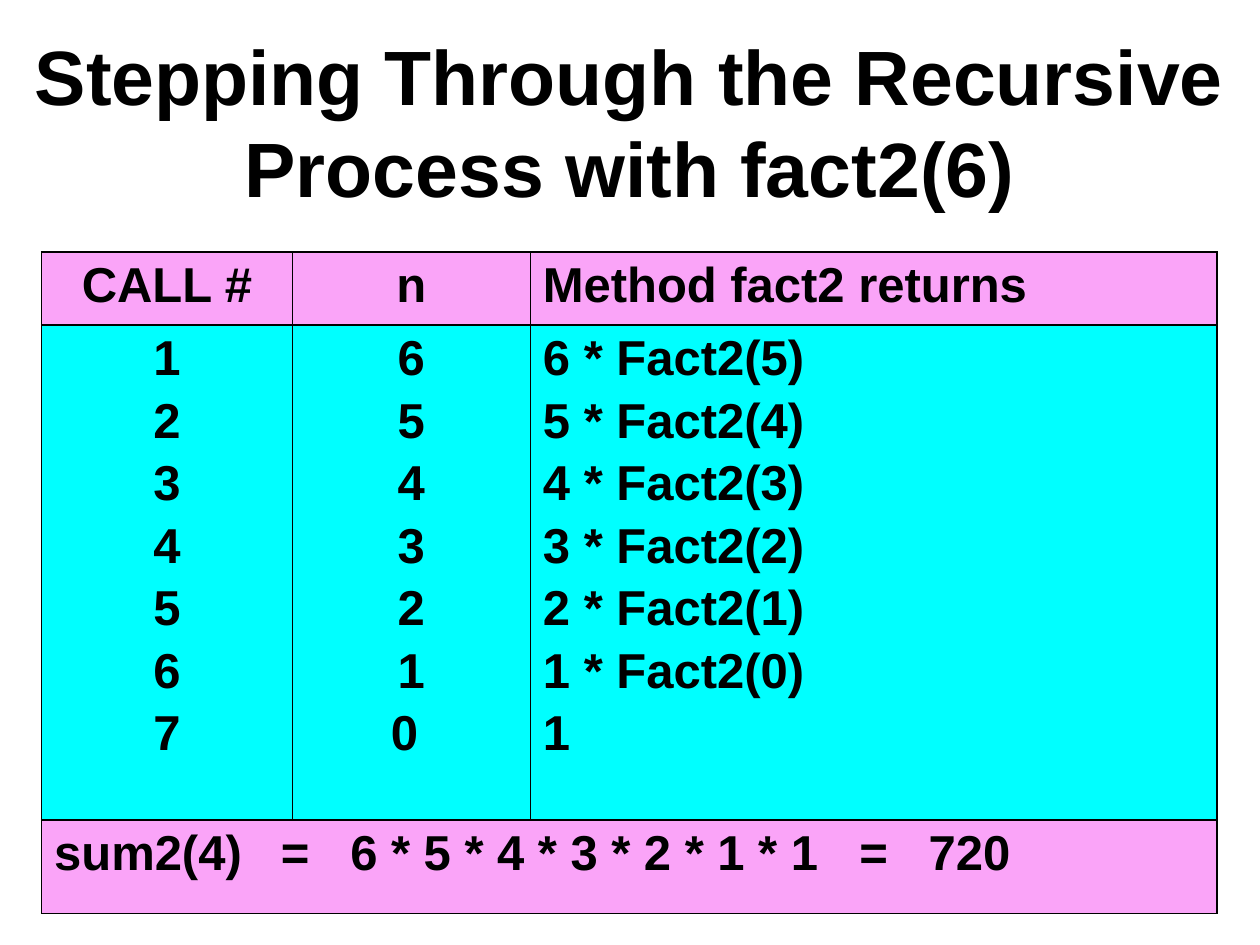
import dataclasses

import pptx
import pptx.dml.color
import pptx.enum.text
import pptx.oxml
import pptx.oxml.ns
import pptx.util
from pptx.util import Inches

ALIGN = pptx.enum.text.PP_ALIGN


@dataclasses.dataclass(frozen=True)
class Theme:
    font: str = "Arial"
    ink: str = "000000"
    band: str = "FAA4F8"
    body: str = "00FFFF"
    title_size: int = 44
    cell_size: int = 28
    line_gap: float = 4.5
    border: float = 1


class PageBuilder:
    def __init__(self, page, theme):
        self.page = page
        self.theme = theme

    def add_span(self, para, text, size):
        span = para.add_run()
        span.text = text
        span.font.name = self.theme.font
        span.font.size = pptx.util.Pt(size)
        span.font.bold = True
        span.font.color.rgb = pptx.dml.color.RGBColor.from_string(self.theme.ink)

    def add_title(self, text, left, top, width, height):
        box = self.page.shapes.add_textbox(left, top, width, height)
        frame = box.text_frame
        frame.word_wrap = True
        frame.vertical_anchor = pptx.enum.text.MSO_ANCHOR.MIDDLE
        para = frame.paragraphs[0]
        para.alignment = ALIGN.CENTER
        self.add_span(para, text, self.theme.title_size)

    def add_table(self, left, top, widths, heights):
        frame = self.page.shapes.add_table(
            len(heights), len(widths), left, top, sum(widths), sum(heights))
        table = frame.table
        table.first_row = table.horz_banding = False
        for column, width in zip(table.columns, widths):
            column.width = width
        for row, height in zip(table.rows, heights):
            row.height = height
        return table

    def style_cell(self, cell, color):
        """Draw all four borders, then fill the cell."""
        properties = cell._tc.get_or_add_tcPr()
        width = pptx.util.Pt(self.theme.border)
        for side in ("lnL", "lnR", "lnT", "lnB"):
            properties.append(pptx.oxml.parse_xml(
                f'<a:{side} {pptx.oxml.ns.nsdecls("a")} w="{width}"><a:solidFill>'
                f'<a:srgbClr val="{self.theme.ink}"/></a:solidFill></a:{side}>'))
        cell.fill.solid()
        cell.fill.fore_color.rgb = pptx.dml.color.RGBColor.from_string(color)

    def write_cell(self, cell, lines, alignment):
        frame = cell.text_frame
        for index, line in enumerate(lines):
            para = frame.add_paragraph() if index else frame.paragraphs[0]
            para.alignment = alignment
            if index:
                para.space_before = pptx.util.Pt(self.theme.line_gap)
            self.add_span(para, line, self.theme.cell_size)

    def set_tabs(self, para, stops):
        tabs = "".join(f'<a:tab pos="{stop}" algn="l"/>' for stop in stops)
        para._p.get_or_add_pPr().append(pptx.oxml.parse_xml(
            f'<a:tabLst {pptx.oxml.ns.nsdecls("a")}>{tabs}</a:tabLst>'))


def main():
    deck = pptx.Presentation()
    deck.slide_width, deck.slide_height = Inches(10), Inches(7.5)
    theme = Theme()
    builder = PageBuilder(deck.slides.add_slide(deck.slide_layouts[6]), theme)
    builder.add_title("Stepping Through the Recursive Process with fact2(6)",
                      Inches(0), Inches(0.17), Inches(10), Inches(1.58))

    table = builder.add_table(
        Inches(0.33), Inches(2),
        [Inches(width) for width in (1.99, 1.89, 5.45)],
        [Inches(height) for height in (0.58, 3.93, 0.74)])
    for row, color in enumerate((theme.band, theme.body, theme.band)):
        for column in range(3):
            builder.style_cell(table.cell(row, column), color)

    start = 6
    calls = [str(call) for call in range(1, start + 2)]
    arguments = [str(n) for n in range(start, 0, -1)] + ["0 "]
    returns = [f"{n} * Fact2({n - 1})" for n in range(start, 0, -1)] + ["1"]
    columns = (("CALL #", calls, ALIGN.CENTER),
               ("n", arguments, ALIGN.CENTER),
               ("Method fact2 returns", returns, ALIGN.LEFT))
    for index, (heading, lines, alignment) in enumerate(columns):
        builder.write_cell(table.cell(0, index), [heading], alignment)
        builder.write_cell(table.cell(1, index), lines, alignment)

    result = table.cell(2, 0)
    result.merge(table.cell(2, 2))
    builder.write_cell(
        result, ["sum2(4)\t=\t6 * 5 * 4 * 3 * 2 * 1 * 1\t=\t720"], ALIGN.LEFT)
    builder.set_tabs(result.text_frame.paragraphs[0],
                     [Inches(stop) for stop in (1.8, 2.35, 6.39, 6.94)])
    deck.save("out.pptx")


if __name__ == "__main__":
    main()
